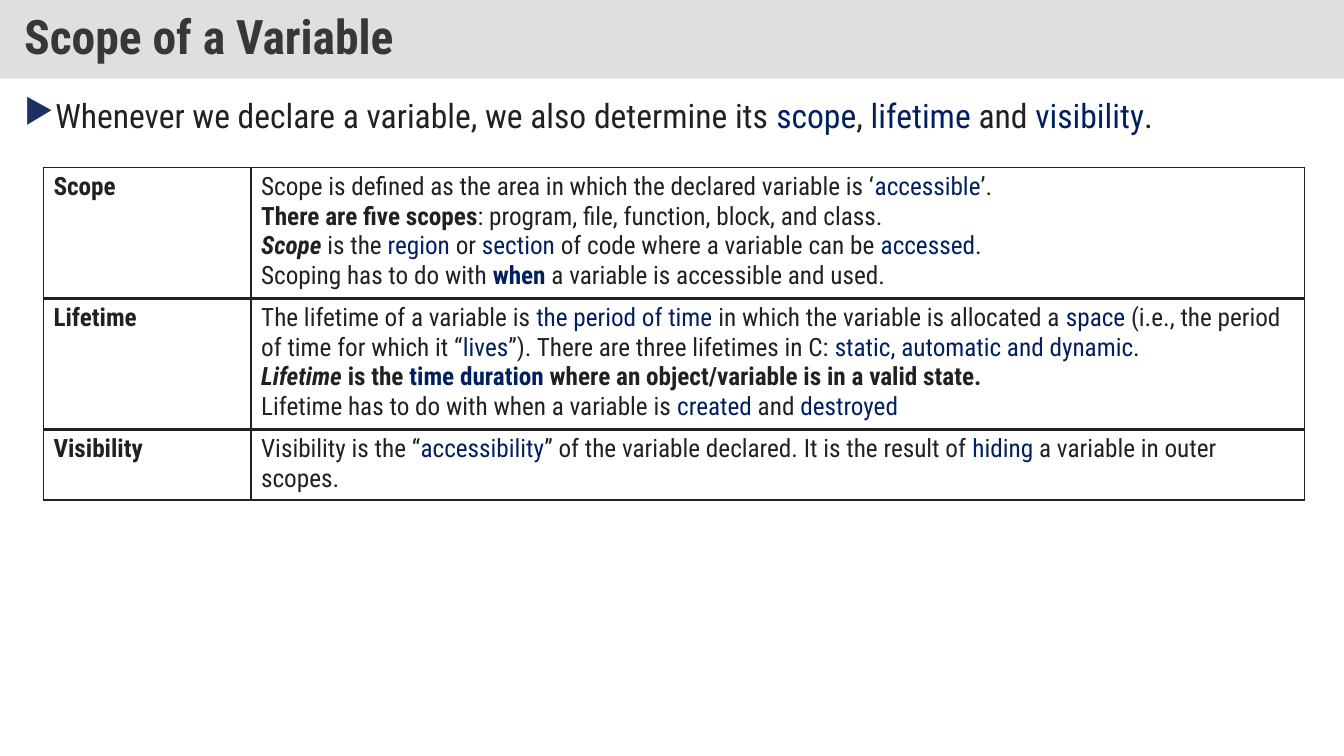
from lxml import etree
from pptx import Presentation
from pptx.dml.color import RGBColor
from pptx.enum.shapes import MSO_SHAPE
from pptx.enum.text import MSO_ANCHOR, PP_ALIGN
from pptx.oxml.ns import qn
from pptx.util import Inches, Pt

RECTANGLE = MSO_SHAPE.RECTANGLE
MIDDLE = MSO_ANCHOR.MIDDLE
LEFT, JUSTIFY = PP_ALIGN.LEFT, PP_ALIGN.JUSTIFY

SILVER = RGBColor(0xC0, 0xC0, 0xC0)
CHARCOAL = RGBColor(0x37, 0x37, 0x37)
INK = RGBColor(0x21, 0x21, 0x21)
NAVY = RGBColor(0x00, 0x20, 0x60)
BULLET_BLUE = RGBColor(0x1D, 0x30, 0x64)

INTRO = ["Whenever we declare a variable, we also determine its ", ("scope", "n"), ", ",
         ("lifetime", "n"), " and ", ("visibility", "n"), "."]

DEFINITIONS = [
    ("Scope", 17.33, [
        ["Scope is defined as the area in which the declared variable is ‘",
         ("accessible", "n"), "’."],
        [("There are five scopes", "b"), ": program, file, function, block, and class."],
        [("Scope", "bi"), " is the ", ("region", "n"), " or ", ("section", "n"),
         " of code where a variable can be ", ("accessed", "n"), "."],
        ["Scoping has to do with ", ("when", "nb"), " a variable is accessible and used."],
    ]),
    ("Lifetime", 17.33, [
        ["The lifetime of a variable is ", ("the period of time", "n"),
         " in which the variable is allocated a ", ("space", "n"),
         " (i.e., the period of time for which it “", ("lives", "n"),
         "”). There are three lifetimes in C: ", ("static, automatic and dynamic.", "n")],
        [("Lifetime", "bi"), (" is the ", "b"), ("time duration ", "nb"),
         ("where an object/variable is in a valid state.", "b")],
        ["Lifetime has to do with when a variable is ", ("created", "n"), " and ",
         ("destroyed", "n")],
    ]),
    ("Visibility", 9.33, [
        ["Visibility is the “", ("accessibility", "n"),
         "” of the variable declared. It is the result of ", ("hiding", "n"),
         " a variable in outer scopes."],
    ]),
]


class LectureSlide:
    """Slide on a grid of 100 columns by 100 rows, with the lecture's style."""

    font_name = "Roboto Condensed"
    borders = {"a:lnL": 1, "a:lnR": 1, "a:lnT": 1, "a:lnB": 2}

    def __init__(self, deck):
        self.column = deck.slide_width / 100
        self.row = deck.slide_height / 100
        self.shapes = deck.slides.add_slide(deck.slide_layouts[6]).shapes

    def box(self, left, top, width, height):
        return (round(left * self.column), round(top * self.row),
                round(width * self.column), round(height * self.row))

    def style(self, paragraph, size):
        paragraph.font.name = self.font_name
        paragraph.font.size = Pt(size)

    def rich_text(self, paragraph, parts, size):
        self.style(paragraph, size)
        for part in parts:
            words, flags = (part, "") if isinstance(part, str) else part
            run = paragraph.add_run()
            run.text = words
            run.font.color.rgb = NAVY if "n" in flags else INK
            run.font.bold = "b" in flags
            run.font.italic = "i" in flags

    def title(self, words, height):
        band = self.shapes.add_shape(RECTANGLE, *self.box(0, 0, 100, height))
        band.shadow.inherit = False
        band.line.fill.background()
        band.fill.solid()
        band.fill.fore_color.rgb = SILVER
        tint = band.element.spPr.find(".//" + qn("a:srgbClr"))
        etree.SubElement(tint, qn("a:alpha"), val="50000")
        frame = band.text_frame
        frame.word_wrap = True
        frame.vertical_anchor = MIDDLE
        frame.margin_left = frame.margin_right = Inches(0.24)
        frame.margin_top = frame.margin_bottom = Inches(0.12)
        heading = frame.paragraphs[0]
        heading.text = words
        heading.alignment = LEFT
        heading.line_spacing = 0.9
        self.style(heading, 34)
        heading.font.bold = True
        heading.font.color.rgb = CHARCOAL

    def bullet(self, parts, left, top, width, height):
        frame = self.shapes.add_textbox(*self.box(left, top, width, height)).text_frame
        frame.word_wrap = True
        point = frame.paragraphs[0]
        point.alignment = JUSTIFY
        point.line_spacing = 0.9
        point.space_before = Pt(10)
        properties = point._p.get_or_add_pPr()
        properties.set("marL", str(Inches(0.29)))
        properties.set("indent", str(-Inches(0.29)))
        colour = etree.SubElement(properties, qn("a:buClr"))
        etree.SubElement(colour, qn("a:srgbClr"), val=str(BULLET_BLUE))
        etree.SubElement(properties, qn("a:buChar"), char="▶")
        self.rich_text(point, parts, 24)

    def cell(self, cell, paragraphs):
        properties = cell._tc.get_or_add_tcPr()
        for side, points in self.borders.items():
            border = etree.SubElement(properties, qn(side), w=str(Pt(points)))
            paint = etree.SubElement(border, qn("a:solidFill"))
            etree.SubElement(paint, qn("a:srgbClr"), val=str(INK))
        cell.fill.background()
        frame = cell.text_frame
        for index, parts in enumerate(paragraphs):
            paragraph = frame.add_paragraph() if index else frame.paragraphs[0]
            self.rich_text(paragraph, parts, 18)

    def definition(self, term, meaning, left, top, widths, height):
        area = self.box(left, top, sum(widths), height)
        table = self.shapes.add_table(1, len(widths), *area).table
        table.first_row = table.horz_banding = False
        for column, width in zip(table.columns, widths):
            column.width = round(width * self.column)
        self.cell(table.cell(0, 0), [[(term, "b")]])
        self.cell(table.cell(0, 1), meaning)


def main():
    deck = Presentation()
    deck.slide_width, deck.slide_height = Inches(13.33), Inches(7.5)
    slide = LectureSlide(deck)
    slide.title("Scope of a Variable", 10.4)
    slide.bullet(INTRO, 1.05, 12.53, 97.9, 81.47)
    top = 22.13
    for term, height, meaning in DEFINITIONS:
        slide.definition(term, meaning, 3.23, top, (15.45, 78.4), height)
        top += height
    deck.save("out.pptx")


if __name__ == "__main__":
    main()
